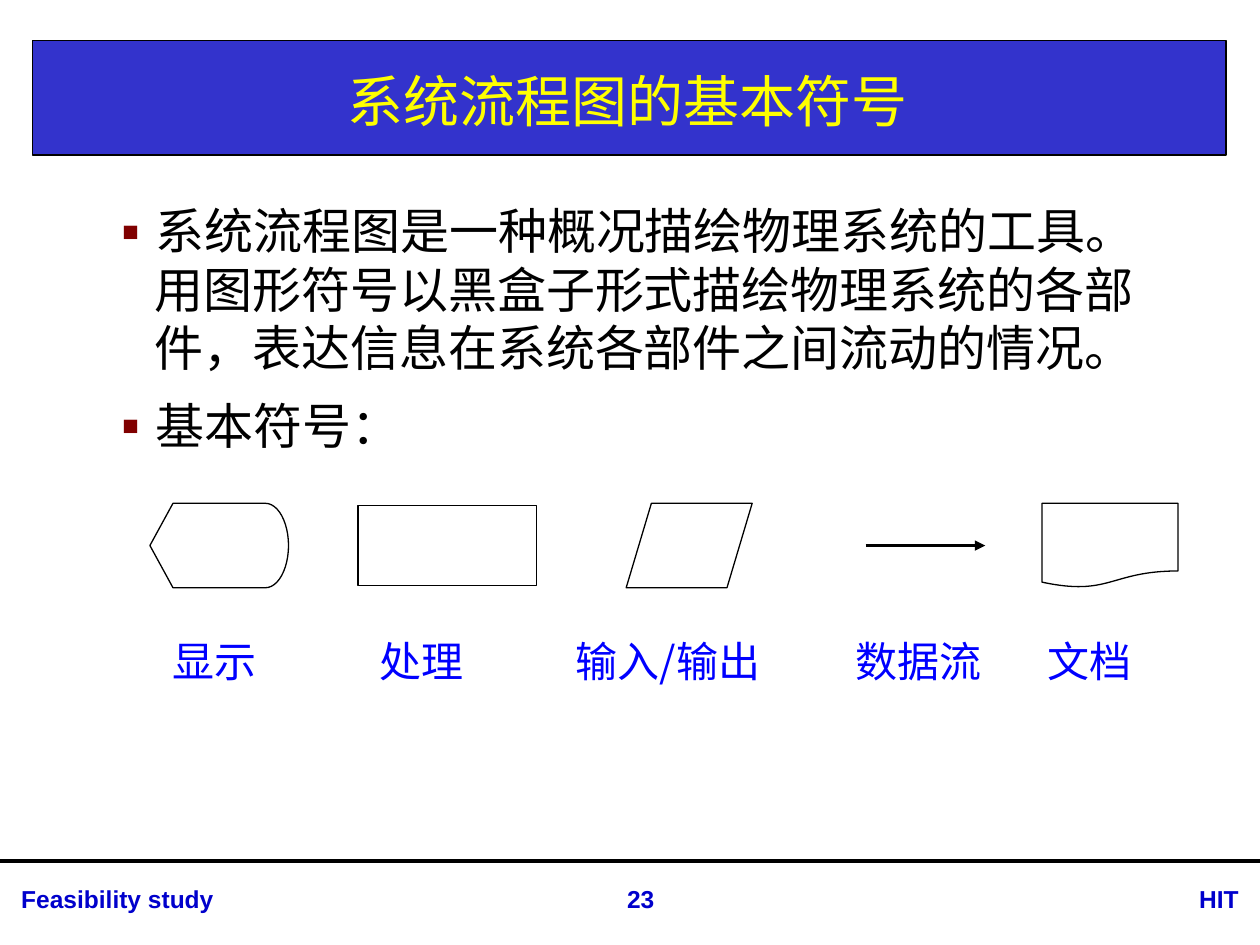
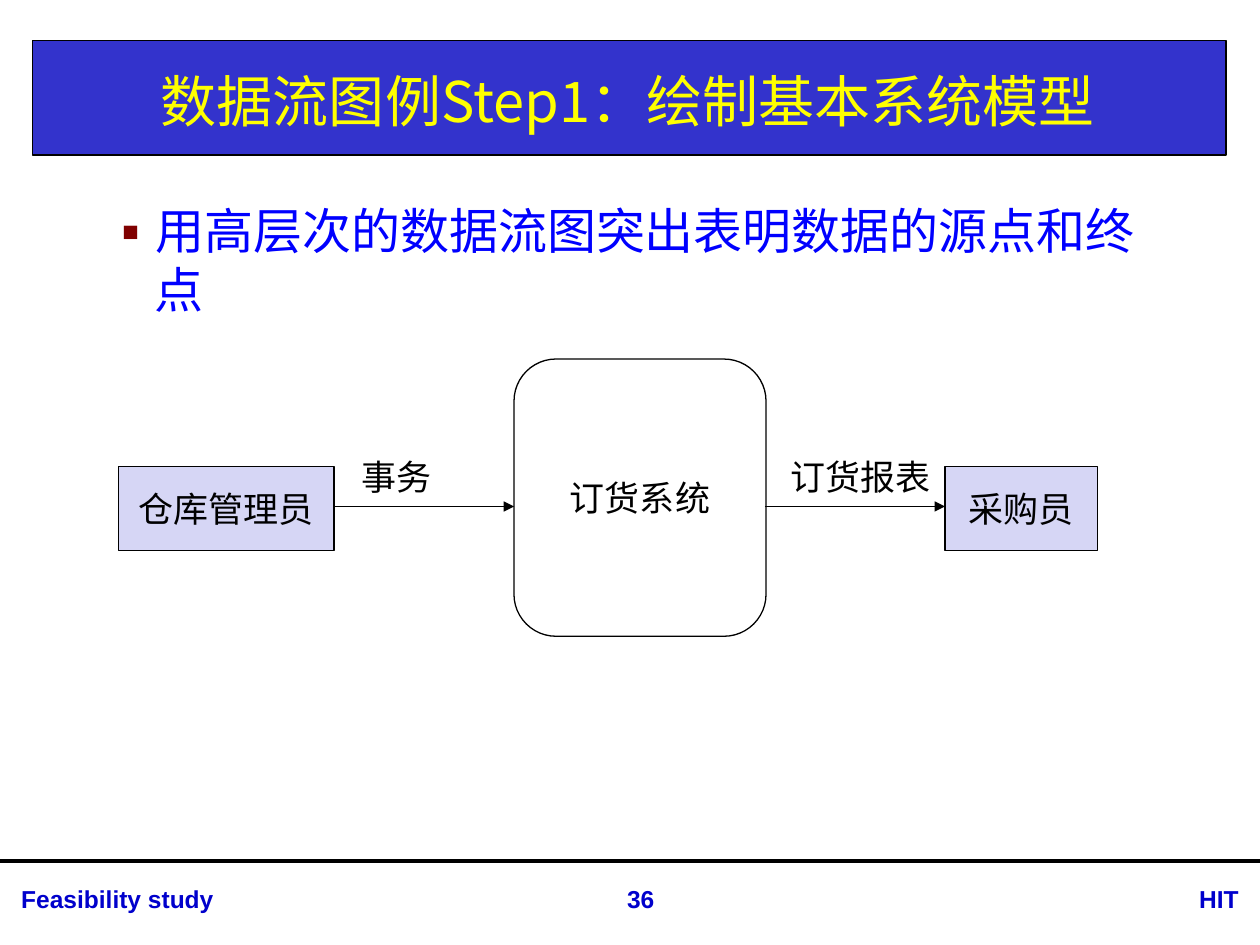
from dataclasses import dataclass

from lxml.etree import SubElement
from pptx import Presentation
from pptx.dml.color import RGBColor
from pptx.enum.shapes import MSO_CONNECTOR as Connector, MSO_SHAPE as Shape
from pptx.enum.text import MSO_ANCHOR as Anchor, MSO_AUTO_SIZE as AutoSize, PP_ALIGN as Align
from pptx.oxml.ns import qn
from pptx.util import Inches, Pt


@dataclass(frozen=True)
class Theme:
    """Colours, fonts and type sizes of the lecture."""
    band: str = "3333CC"
    title: str = "FFFF00"
    footer: str = "0000CC"
    accent: str = "0000FF"
    ink: str = "000000"
    bullet: str = "800000"
    entity: str = "D6D6F5"
    cjk_font: str = "Noto Sans CJK SC"
    footer_font: str = "Arial"
    title_size: int = 32
    body_size: int = 28
    label_size: int = 24
    node_size: int = 20
    footer_size: int = 14
    line_pitch: float = 1.19
    thin: float = 0.75
    flow: float = 1.75
    rule: float = 2.25


THEME = Theme()
BODY_BOX = (0.75, 1.55, 8.66, 4.73)


def set_all(target, values):
    """Set each named attribute of the target."""
    for name, value in values.items():
        setattr(target, name, value)


def inches(*lengths):
    """Convert plain numbers to lengths."""
    return [Inches(length) for length in lengths]


def write(frame, paragraphs, size, color, font=THEME.cjk_font, bold=False,
          align=Align.LEFT, anchor=Anchor.TOP, wrap=True):
    """Fill a text frame with evenly formatted paragraphs."""
    set_all(frame, {"word_wrap": wrap, "auto_size": AutoSize.NONE, "vertical_anchor": anchor})
    for index, words in enumerate(paragraphs):
        paragraph = frame.add_paragraph() if index else frame.paragraphs[0]
        paragraph.alignment = align
        if font == THEME.cjk_font:
            paragraph.line_spacing = Pt(round(size * THEME.line_pitch, 1))
        run = paragraph.add_run()
        run.text = words
        set_all(run.font, {"size": Pt(size), "bold": bold, "name": font})
        run.font.color.rgb = RGBColor.from_string(color)
        SubElement(run.font._element, qn("a:ea"), typeface=font)


def add_label(slide, box, words, size, color, **style):
    """Add a one-paragraph text box and return its frame."""
    frame = slide.shapes.add_textbox(*inches(*box)).text_frame
    write(frame, [words], size, color, **style)
    return frame


def add_node(slide, kind, box, words=None, fill=None):
    """Add an outlined flowchart symbol, optionally filled and captioned."""
    node = slide.shapes.add_shape(kind, *inches(*box))
    node.shadow.inherit = False
    if fill:
        node.fill.solid()
        node.fill.fore_color.rgb = RGBColor.from_string(fill)
    else:
        node.fill.background()
    node.line.color.rgb = RGBColor.from_string(THEME.ink)
    node.line.width = Pt(THEME.thin)
    if words:
        write(node.text_frame, [words], THEME.node_size, THEME.ink,
              align=Align.CENTER, anchor=Anchor.MIDDLE, wrap=False)
    return node


def add_line(slide, start, end, y, width, arrow=False):
    """Add a horizontal line, with an arrowhead if asked."""
    line = slide.shapes.add_connector(Connector.STRAIGHT, *inches(start, y, end, y))
    line.line.color.rgb = RGBColor.from_string(THEME.ink)
    line.line.width = Pt(width)
    if arrow:
        SubElement(line.line._get_or_add_ln(), qn("a:tailEnd"), type="triangle")
    SubElement(line._element.spPr, qn("a:effectLst"))


def add_bullets(slide, points, color):
    """Add the bulleted body text."""
    frame = slide.shapes.add_textbox(*inches(*BODY_BOX)).text_frame
    write(frame, points, THEME.body_size, color)
    gap = Pt(THEME.body_size * 0.2)
    for index, paragraph in enumerate(frame.paragraphs):
        set_all(paragraph, {"space_before": gap if index else Pt(0), "space_after": gap})
        props = paragraph._p.get_or_add_pPr()
        props.set("marL", str(Inches(0.38)))
        props.set("indent", str(-Inches(0.38)))
        SubElement(SubElement(props, qn("a:buClr")), qn("a:srgbClr"), val=THEME.bullet)
        SubElement(props, qn("a:buFont"), typeface=THEME.cjk_font)
        SubElement(props, qn("a:buChar"), char="▪")


def add_lecture_slide(deck, heading, number):
    """Add a slide with title band, footer rule and footer texts."""
    slide = deck.slides.add_slide(deck.slide_layouts[5])
    add_node(slide, Shape.RECTANGLE, (0.26, 0.32, 9.47, 0.91), fill=THEME.band)
    add_line(slide, 0, 10, 6.83, THEME.rule)
    for left, width, words, align in (
        (0.07, 3.85, "Feasibility study", Align.LEFT),
        (8.9, 1.03, "HIT", Align.RIGHT),
        (4.57, 1.03, str(number), Align.CENTER),
    ):
        add_label(slide, (left, 6.97, width, 0.34), words, THEME.footer_size, THEME.footer,
                  font=THEME.footer_font, bold=True, align=align)
    title = slide.shapes.title
    set_all(title, dict(zip(("left", "top", "width", "height"), inches(0.26, 0.36, 9.45, 0.87))))
    write(title.text_frame, [heading], THEME.title_size, THEME.title,
          align=Align.CENTER, anchor=Anchor.MIDDLE)
    slide.shapes._spTree.append(title._element)
    return slide


def add_symbol_names(slide, names, first, stops):
    """Add the row of symbol names, set on tab stops."""
    left = 1.05
    frame = add_label(slide, (left, 5, 8.42, 0.5), "\t".join(names),
                      THEME.label_size, THEME.accent)
    frame.margin_left = Inches(first - left)
    tabs = SubElement(frame.paragraphs[0]._p.get_or_add_pPr(), qn("a:tabLst"))
    for stop in stops:
        SubElement(tabs, qn("a:tab"), pos=str(Inches(stop - first)), algn="l")


def build_symbols(deck):
    """Show the basic symbols of a system flowchart."""
    slide = add_lecture_slide(deck, "系统流程图的基本符号", 23)
    add_bullets(slide, [
        "系统流程图是一种概况描绘物理系统的工具。用图形符号以黑盒子形式描绘物理系统的各部件，"
        "表达信息在系统各部件之间流动的情况。",
        "基本符号：",
    ], THEME.ink)
    middle = 4.33
    for kind, left, width, height in (
        (Shape.FLOWCHART_PROCESS, 2.84, 1.42, 0.63),
        (Shape.FLOWCHART_DATA, 4.97, 1, 0.67),
        (Shape.FLOWCHART_DISPLAY, 1.19, 1.1, 0.67),
        (Shape.FLOWCHART_DOCUMENT, 8.27, 1.08, 0.67),
    ):
        add_node(slide, kind, (left, middle - height / 2, width, height))
    add_line(slide, 6.87, 7.82, middle, THEME.flow, arrow=True)
    add_symbol_names(slide, ["显示", "处理", "输入/输出", "数据流", "文档"],
                     1.37, (3.01, 4.57, 6.79, 8.31))


def build_basic_model(deck):
    """Show the top-level data flow of the ordering system."""
    slide = add_lecture_slide(deck, "数据流图例Step1：绘制基本系统模型", 36)
    add_bullets(slide, ["用高层次的数据流图突出表明数据的源点和终点"], THEME.accent)
    for kind, box, words, fill in (
        (Shape.FLOWCHART_PROCESS, (0.94, 3.7, 1.71, 0.67), "仓库管理员", THEME.entity),
        (Shape.FLOWCHART_ALTERNATE_PROCESS, (4.08, 2.85, 2, 2.2), "订货系统", None),
        (Shape.FLOWCHART_PROCESS, (7.5, 3.7, 1.21, 0.67), "采购员", THEME.entity),
    ):
        add_node(slide, kind, box, words, fill)
    for start, end, left, width, words in (
        (2.65, 4.08, 2.71, 0.88, "事务"),
        (6.07, 7.5, 6.07, 1.52, "订货报表"),
    ):
        add_line(slide, start, end, 4.02, THEME.thin, arrow=True)
        add_label(slide, (left, 3.57, width, 0.77), words, THEME.node_size, THEME.ink,
                  align=Align.CENTER)


def main():
    """Build and save the two slides."""
    deck = Presentation()
    set_all(deck, {"slide_width": Inches(10), "slide_height": Inches(7.5)})
    build_symbols(deck)
    build_basic_model(deck)
    deck.save("out.pptx")


if __name__ == "__main__":
    main()
